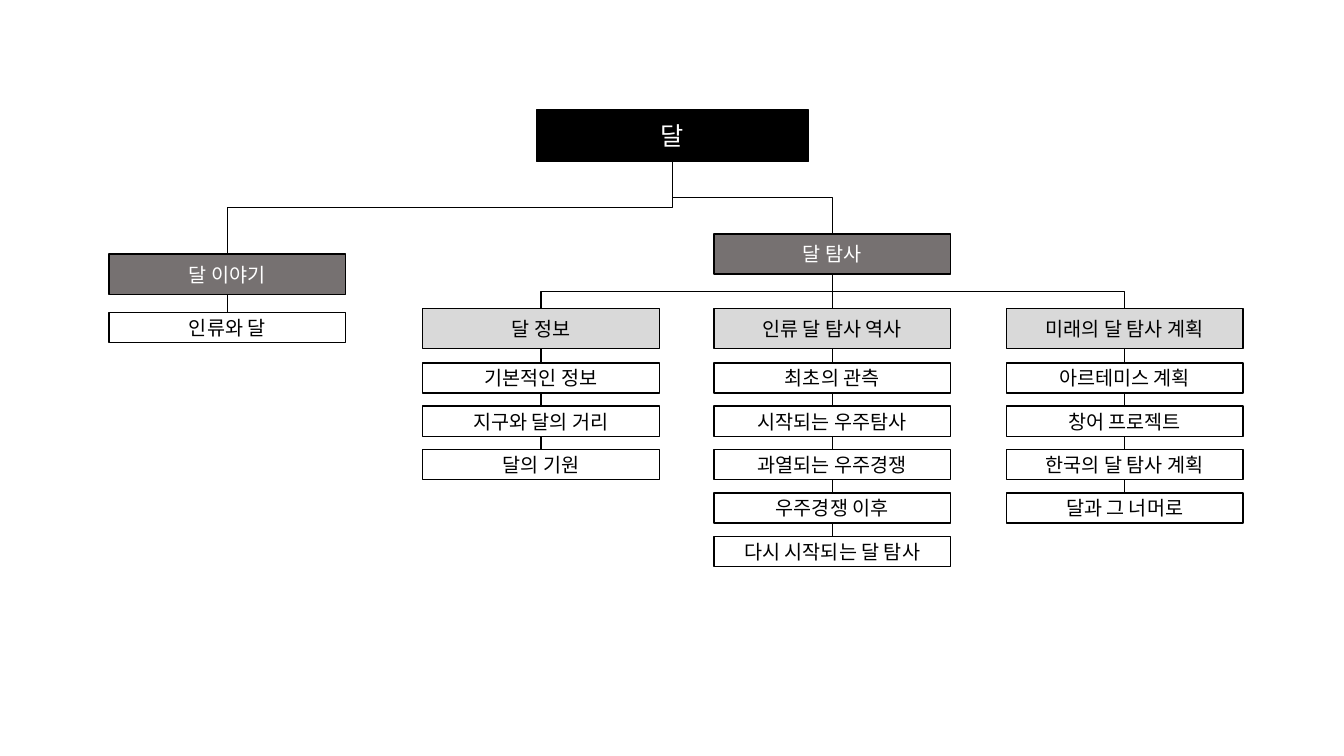
"""Build the moon topic tree slide."""
from itertools import pairwise

from lxml.etree import SubElement
from pptx import Presentation
from pptx.dml.color import RGBColor
from pptx.enum.shapes import MSO_CONNECTOR, MSO_SHAPE
from pptx.enum.text import MSO_ANCHOR, PP_ALIGN
from pptx.oxml.ns import qn
from pptx.util import Inches, Pt

FONT = "Noto Sans CJK KR"
BRANCH_WIDTH = 2.35
LEAF_STEP = 0.43
BOTTOM, TOP = 2, 0

ROOT = {"height": 0.51, "fill": "000000", "color": "FFFFFF", "size": 18}
TOPIC = {"height": 0.4, "fill": "767171", "color": "FFFFFF", "size": 14}
SECTION = {"height": 0.4, "fill": "D9D9D9", "color": "000000", "size": 14}
LEAF = {"height": 0.3, "fill": "FFFFFF", "color": "000000", "size": 14}

SECTIONS = [
    (4.19, "달 정보", ["기본적인 정보", "지구와 달의 거리", "달의 기원"]),
    (7.08, "인류 달 탐사 역사",
     ["최초의 관측", "시작되는 우주탐사", "과열되는 우주경쟁",
      "우주경쟁 이후", "다시 시작되는 달 탐사"]),
    (9.98, "미래의 달 탐사 계획",
     ["아르테미스 계획", "창어 프로젝트", "한국의 달 탐사 계획", "달과 그 너머로"]),
]


def rgb(code):
    """Return the colour for a hex string."""
    return RGBColor.from_string(code)


def apply(target, values):
    """Set every attribute of target named in values."""
    for name, value in values.items():
        setattr(target, name, value)


def outline(line):
    """Give a line the chart's thin black stroke."""
    line.color.rgb = rgb("000000")
    line.width = Pt(1)


def add_node(slide, text, left, top, style, width=BRANCH_WIDTH):
    """Add one labelled box of the tree."""
    node = slide.shapes.add_shape(
        MSO_SHAPE.RECTANGLE, Inches(left), Inches(top),
        Inches(width), Inches(style["height"]))
    node.shadow.inherit = False
    node.fill.solid()
    node.fill.fore_color.rgb = rgb(style["fill"])
    outline(node.line)
    apply(node.text_frame, {"word_wrap": True, "vertical_anchor": MSO_ANCHOR.MIDDLE})
    label = node.text_frame.paragraphs[0]
    label.alignment = PP_ALIGN.CENTER
    run = label.add_run()
    run.text = text
    apply(run.font, {"name": FONT, "size": Pt(style["size"])})
    run.font.color.rgb = rgb(style["color"])
    SubElement(run.font._element, qn("a:ea")).set("typeface", FONT)
    return node


def add_link(slide, parent, child, kind=MSO_CONNECTOR.STRAIGHT):
    """Join the bottom of parent to the top of child."""
    link = slide.shapes.add_connector(kind, 0, 0, 0, 0)
    link.begin_connect(parent, BOTTOM)
    link.end_connect(child, TOP)
    outline(link.line)
    SubElement(link._element.spPr, qn("a:effectLst"))
    return link


def add_elbow(slide, parent, child):
    """Join parent to child by a down, across, down elbow."""
    link = add_link(slide, parent, child, MSO_CONNECTOR.ELBOW)
    run, drop = link.end_x - link.begin_x, link.end_y - link.begin_y
    middle_x = (link.begin_x + link.end_x) // 2
    middle_y = (link.begin_y + link.end_y) // 2
    apply(link, {"left": middle_x - drop // 2, "top": middle_y - abs(run) // 2,
                 "width": drop, "height": abs(run)})
    frame = link._element.spPr.find(qn("a:xfrm"))
    quarter_turns, flip = (3, "1") if run > 0 else (1, "0")
    frame.set("rot", str(quarter_turns * 90 * 60000))
    frame.set("flipH", flip)


def add_section(slide, left, title, leaves):
    """Add a section heading with its chain of leaves."""
    heading = add_node(slide, title, left, 3.06, SECTION)
    chain = [heading] + [
        add_node(slide, leaf, left, 3.6 + LEAF_STEP * row, LEAF)
        for row, leaf in enumerate(leaves)]
    for upper, lower in pairwise(chain):
        add_link(slide, upper, lower)
    return heading


def main():
    """Build and save the slide."""
    deck = Presentation()
    apply(deck, {"slide_width": Inches(13.33), "slide_height": Inches(7.5)})
    slide = deck.slides.add_slide(deck.slide_layouts[6])

    moon = add_node(slide, "달", 5.32, 1.09, ROOT, width=2.7)
    story = add_node(slide, "달 이야기", 1.08, 2.52, TOPIC)
    people = add_node(slide, "인류와 달", 1.08, 3.1, LEAF)
    exploration = add_node(slide, "달 탐사", 7.08, 2.32, TOPIC)
    information, history, future = [
        add_section(slide, *section) for section in SECTIONS]

    add_elbow(slide, moon, story)
    add_elbow(slide, moon, exploration)
    add_elbow(slide, exploration, information)
    add_elbow(slide, exploration, future)
    add_link(slide, exploration, history)
    add_link(slide, story, people)
    deck.save("out.pptx")


if __name__ == "__main__":
    main()
